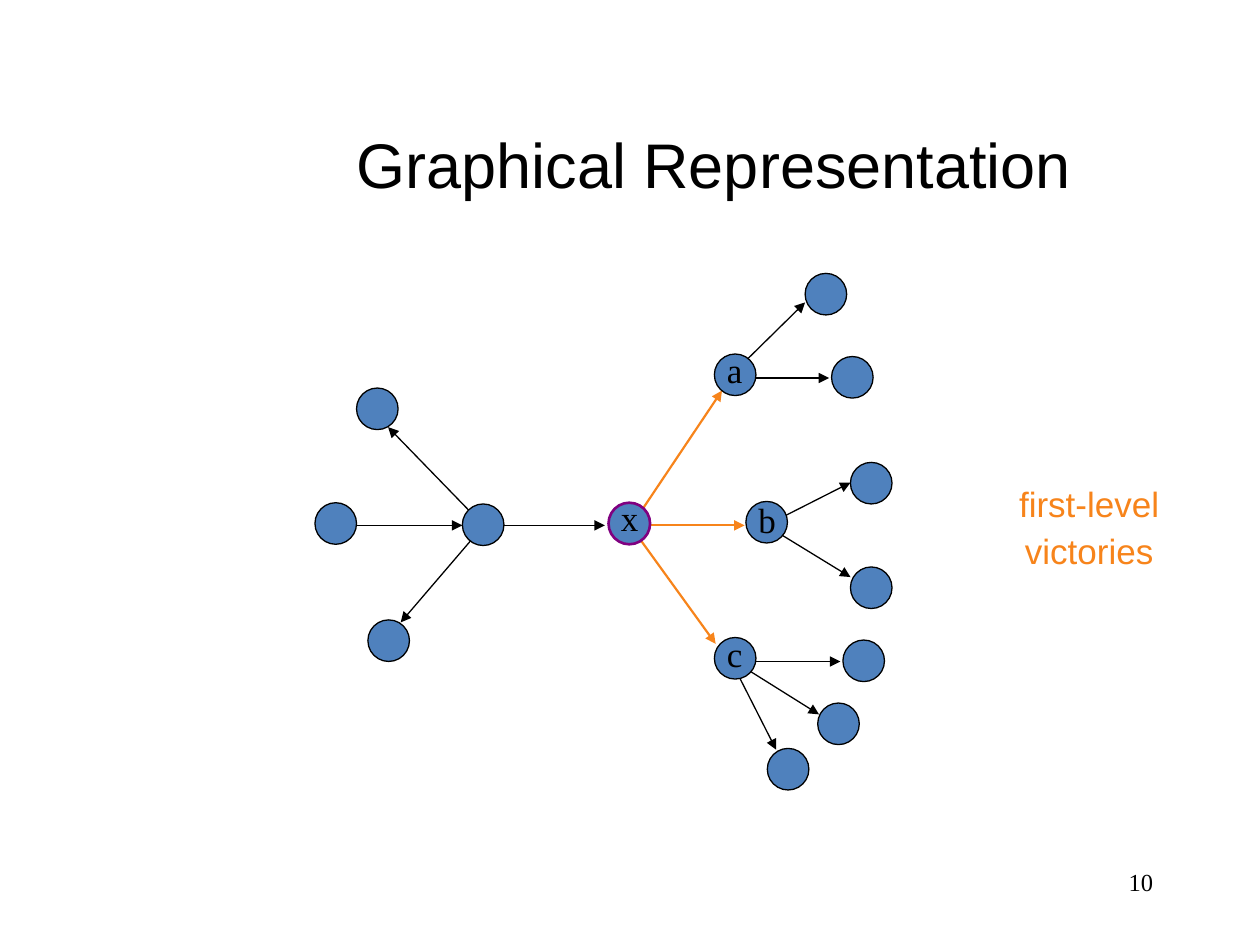
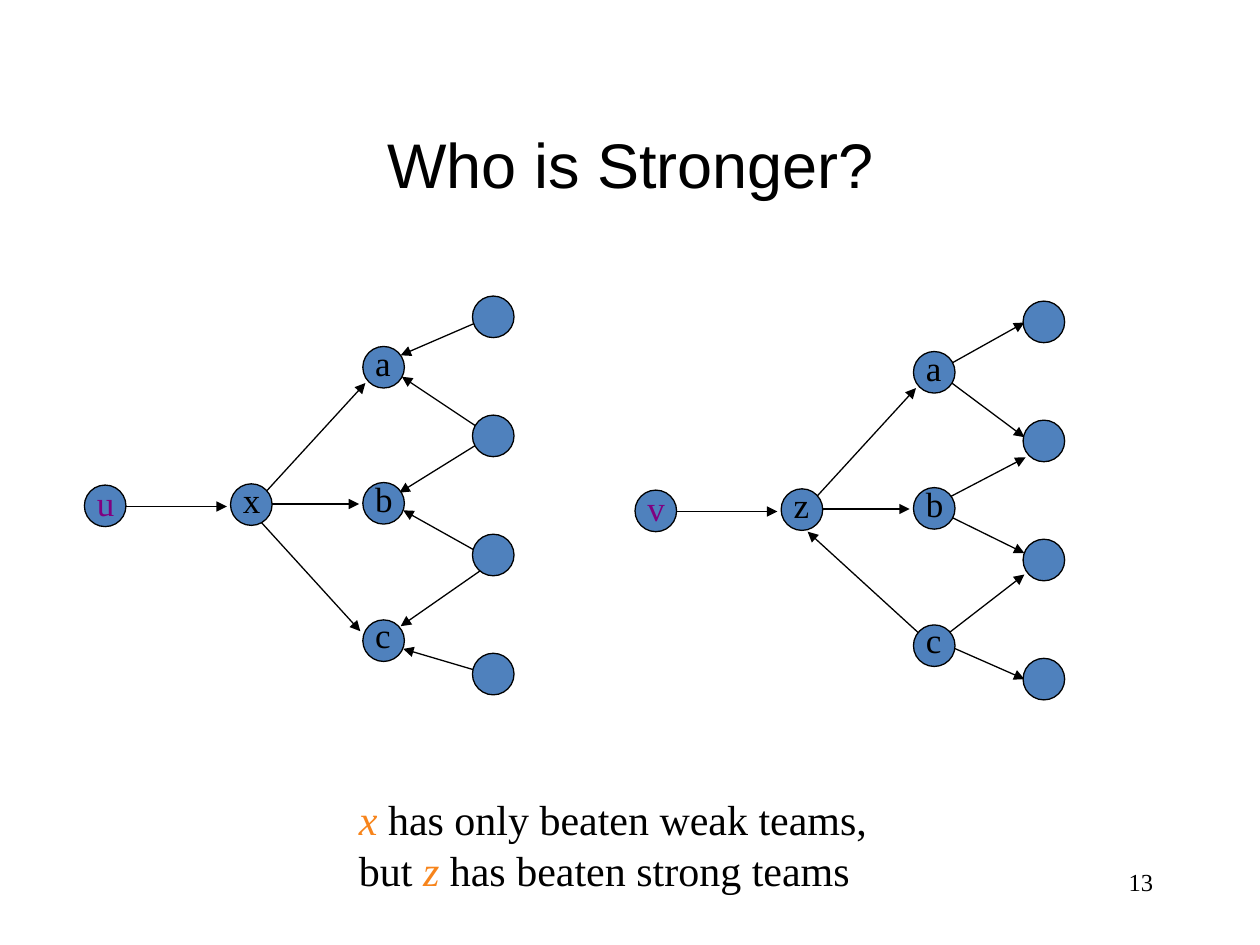
from typing import Any, NamedTuple

from lxml import etree
from pptx import Presentation
from pptx.dml.color import RGBColor
from pptx.enum.shapes import MSO_CONNECTOR, MSO_SHAPE
from pptx.enum.text import MSO_ANCHOR, PP_ALIGN
from pptx.oxml.ns import qn
from pptx.util import Inches, Pt

LEFT, CENTER, RIGHT = PP_ALIGN.LEFT, PP_ALIGN.CENTER, PP_ALIGN.RIGHT
TOP, MIDDLE = MSO_ANCHOR.TOP, MSO_ANCHOR.MIDDLE
OVAL = MSO_SHAPE.OVAL
STRAIGHT = MSO_CONNECTOR.STRAIGHT

BLACK = "000000"
BLUE = "4F81BD"
ORANGE = "F7841B"
PURPLE = "800080"
DIAMETER = 0.33

TITLE_FONT = {"name": "Arial", "size": Pt(36)}
CALLOUT_FONT = {"name": "Arial", "size": Pt(20)}
LABEL_FONT = {"name": "Times New Roman", "size": Pt(20)}
CAPTION_FONT = {"name": "Times New Roman", "size": Pt(24)}
NUMBER_FONT = {"name": "Times New Roman", "size": Pt(14)}


class Span(NamedTuple):
    text: str
    color: str = BLACK
    italic: bool = False


class Node(NamedTuple):
    left: float
    top: float
    label: str = ""
    label_color: str = BLACK
    label_lift: float = 0.09
    ring: str = BLACK
    ring_width: float = 0.75


class Arrow(NamedTuple):
    x1: float
    y1: float
    x2: float
    y2: float
    color: str = BLACK
    width: float = 0.75


class Area(NamedTuple):
    left: float
    top: float
    width: float
    height: float


def rgb(color: str) -> RGBColor:
    return RGBColor.from_string(color)


def add_text(page: Any, area: Area, spans: list[Span], font: dict[str, Any],
             align: Any = LEFT, anchor: Any = TOP, wrap: bool = True,
             spacing: float = 1.0) -> None:
    box = page.shapes.add_textbox(*(Inches(value) for value in area))
    frame = box.text_frame
    frame.word_wrap = wrap
    frame.vertical_anchor = anchor
    para = frame.paragraphs[0]
    para.alignment = align
    para.line_spacing = spacing
    for span in spans:
        run = para.add_run()
        run.text = span.text
        for name, value in {**font, "italic": span.italic}.items():
            setattr(run.font, name, value)
        run.font.color.rgb = rgb(span.color)


def add_arrow(page: Any, arrow: Arrow) -> None:
    ends = (Inches(value) for value in arrow[:4])
    connector = page.shapes.add_connector(STRAIGHT, *ends)
    connector.line.color.rgb = rgb(arrow.color)
    connector.line.width = Pt(arrow.width)
    outline = connector.line._get_or_add_ln()
    etree.SubElement(outline, qn("a:tailEnd"), type="triangle")
    etree.SubElement(connector._element.spPr, qn("a:effectLst"))


def add_node(page: Any, node: Node) -> None:
    circle = page.shapes.add_shape(OVAL, Inches(node.left), Inches(node.top),
                                   Inches(DIAMETER), Inches(DIAMETER))
    circle.shadow.inherit = False
    circle.fill.solid()
    circle.fill.fore_color.rgb = rgb(BLUE)
    circle.line.color.rgb = rgb(node.ring)
    circle.line.width = Pt(node.ring_width)
    if node.label:
        area = Area(node.left, node.top - node.label_lift, DIAMETER, 0.44)
        add_text(page, area, [Span(node.label, node.label_color)], LABEL_FONT,
                 wrap=False)


def add_graph(page: Any, arrows: list[Arrow], nodes: list[Node]) -> None:
    for arrow in arrows:
        add_arrow(page, arrow)
    for node in nodes:
        add_node(page, node)


def add_page(deck: Any, title: str, title_left: float, number: int) -> Any:
    page = deck.slides.add_slide(deck.slide_layouts[6])
    add_text(page, Area(title_left, 0.67, 8.67, 1.25), [Span(title)],
             TITLE_FONT, CENTER, MIDDLE)
    add_text(page, Area(7.17, 6.83, 2.08, 0.5), [Span(str(number))],
             NUMBER_FONT, RIGHT)
    return page


VICTORY_ARROWS = [
    Arrow(3.75, 4.08, 3.08, 3.39),
    Arrow(3.84, 4.17, 3.18, 4.94),
    Arrow(5.83, 5.25, 6.67, 5.25),
    Arrow(5.83, 5.25, 6.5, 5.67),
    Arrow(5.82, 5.28, 6.16, 5.95),
    Arrow(6.08, 4.17, 6.75, 3.83),
    Arrow(6.08, 4.17, 6.75, 4.58),
    Arrow(5.8, 2.98, 6.39, 2.4),
    Arrow(5.92, 3, 6.58, 3),
    Arrow(2.75, 4.17, 3.67, 4.17),
    Arrow(3.89, 4.17, 4.8, 4.17),
    Arrow(5, 4.17, 5.68, 5.11, ORANGE, 1.25),
    Arrow(5.06, 4.1, 5.73, 3.1, ORANGE, 1.25),
    Arrow(4.99, 4.17, 5.91, 4.17, ORANGE, 1.25),
]
VICTORY_NODES = [
    Node(2.83, 3.08),
    Node(2.5, 3.99),
    Node(2.92, 4.92),
    Node(3.67, 4),
    Node(4.83, 3.99, "x", label_lift=0.1, ring=PURPLE, ring_width=1.5),
    Node(5.67, 2.81, "a"),
    Node(5.92, 3.98, "b", label_lift=0.07),
    Node(5.67, 5.06, "c"),
    Node(6.39, 2.17),
    Node(6.6, 2.83),
    Node(6.75, 3.67),
    Node(6.75, 4.5),
    Node(6.69, 5.08),
    Node(6.49, 5.58),
    Node(6.09, 5.94),
]

SHARED_ARROWS = [
    Arrow(0.89, 4.02, 1.8, 4.02),
    Arrow(1.94, 4, 2.85, 4),
    Arrow(2.04, 3.98, 2.9, 3.04),
]
WEAK_ARROWS = [
    Arrow(1.95, 4.01, 2.86, 5.01),
    Arrow(3.92, 2.5, 3.18, 2.82),
    Arrow(3.94, 3.49, 3.19, 2.99),
    Arrow(3.83, 3.5, 3.17, 3.91),
    Arrow(3.95, 4.47, 3.2, 4.05),
    Arrow(3.97, 4.42, 3.18, 4.97),
    Arrow(3.91, 5.36, 3.2, 5.15),
]
STRONG_ARROWS = [
    Arrow(7.32, 5.05, 6.41, 4.22),
    Arrow(7.54, 2.89, 8.13, 2.56),
    Arrow(7.46, 2.97, 8.13, 3.47),
    Arrow(7.47, 3.98, 8.14, 3.63),
    Arrow(7.46, 4.06, 8.13, 4.39),
    Arrow(7.38, 5.14, 8.13, 4.56),
    Arrow(7.38, 5.06, 8.13, 5.39),
]


def add_team_graph(page: Any, source: str, team: str, arrows: list[Arrow],
                   right: float = 0, down: float = 0) -> None:
    nodes = [
        Node(0.67, 3.85, source, PURPLE, 0.08),
        Node(1.83, 3.84, team),
        Node(2.88, 2.75, "a"),
        Node(2.88, 3.83, "b"),
        Node(2.88, 4.92, "c", label_lift=0.1),
        *(Node(3.75, 2.35 + 0.945 * row) for row in range(4)),
    ]
    placed_nodes = [node._replace(left=node.left + right, top=node.top + down)
                    for node in nodes]
    shared = [arrow._replace(x1=arrow.x1 + right, y1=arrow.y1 + down,
                             x2=arrow.x2 + right, y2=arrow.y2 + down)
              for arrow in SHARED_ARROWS]
    add_graph(page, shared + arrows, placed_nodes)


def build_representation(deck: Any) -> None:
    page = add_page(deck, "Graphical Representation", 1.33, 10)
    add_graph(page, VICTORY_ARROWS, VICTORY_NODES)
    add_text(page, Area(7.81, 3.75, 1.67, 0.83),
             [Span("first-level victories", ORANGE)], CALLOUT_FONT, CENTER,
             spacing=1.1)


def build_comparison(deck: Any) -> None:
    page = add_page(deck, "Who is Stronger?", 0.67, 13)
    add_team_graph(page, "u", "x", WEAK_ARROWS)
    add_team_graph(page, "v", "z", STRONG_ARROWS, right=4.37, down=0.04)
    add_text(page, Area(2.75, 6.25, 4.25, 0.9), [
        Span("x", ORANGE, True),
        Span(" has only beaten weak teams, but "),
        Span("z", ORANGE, True),
        Span(" has beaten strong teams"),
    ], CAPTION_FONT)


def main() -> None:
    deck = Presentation()
    deck.slide_width = Inches(10)
    deck.slide_height = Inches(7.5)
    build_representation(deck)
    build_comparison(deck)
    deck.save("out.pptx")


if __name__ == "__main__":
    main()
